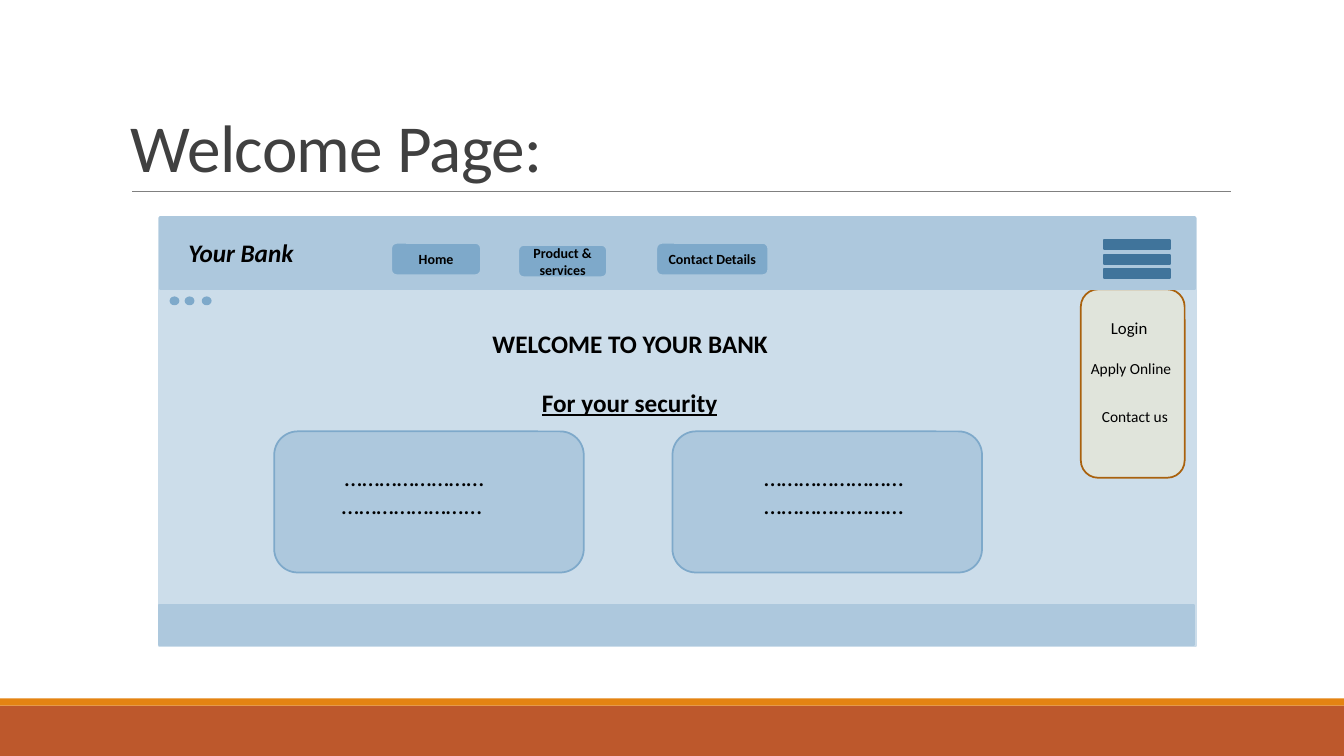
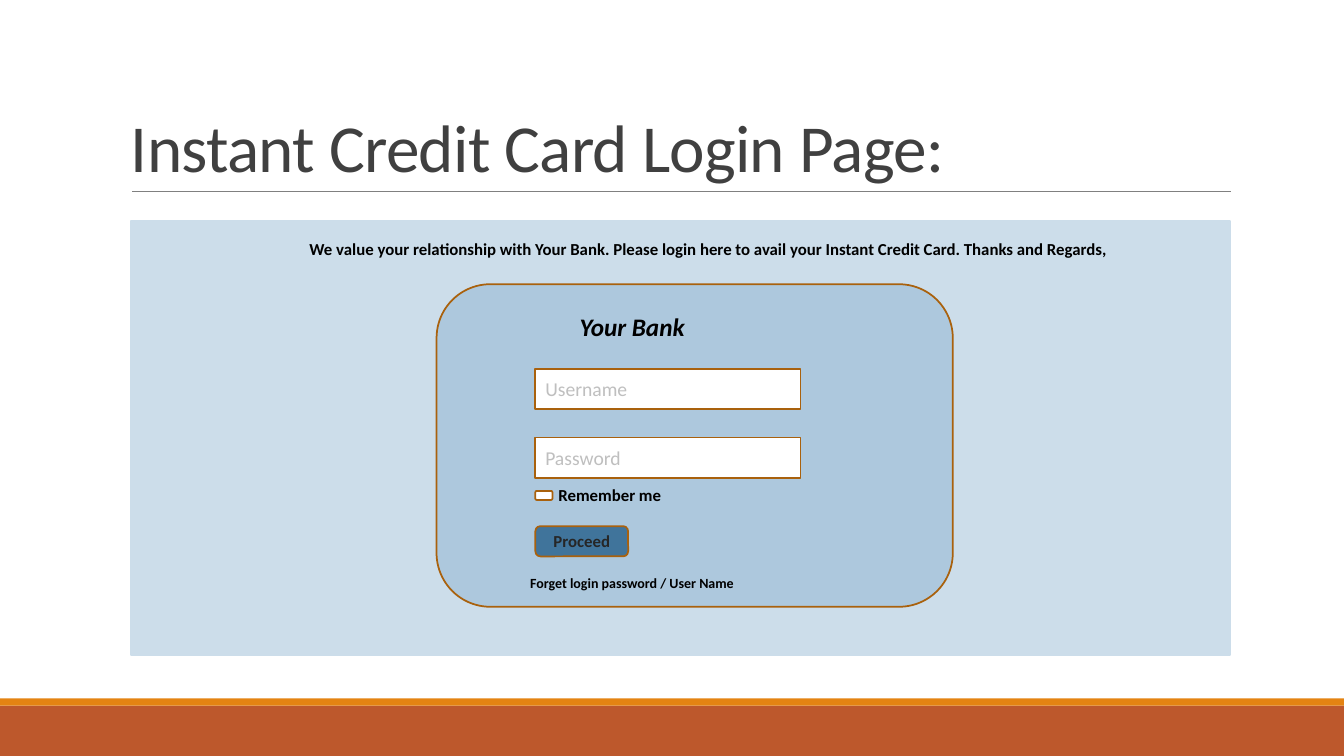
from dataclasses import dataclass

from lxml import etree
from pptx import Presentation
from pptx.dml.color import RGBColor
from pptx.enum.shapes import MSO_CONNECTOR, MSO_SHAPE
from pptx.enum.text import MSO_ANCHOR, MSO_AUTO_SIZE, PP_ALIGN
from pptx.oxml.ns import qn
from pptx.util import Inches, Pt

RECT = MSO_SHAPE.RECTANGLE
ROUNDED = MSO_SHAPE.ROUNDED_RECTANGLE
DOT = MSO_SHAPE.FLOWCHART_CONNECTOR
EQUAL_SIGN = MSO_SHAPE.MATH_EQUAL
MINUS_SIGN = MSO_SHAPE.MATH_MINUS
STRAIGHT = MSO_CONNECTOR.STRAIGHT
LEFT, CENTER = PP_ALIGN.LEFT, PP_ALIGN.CENTER
TOP, MIDDLE, BOTTOM = MSO_ANCHOR.TOP, MSO_ANCHOR.MIDDLE, MSO_ANCHOR.BOTTOM
GROW = MSO_AUTO_SIZE.SHAPE_TO_FIT_TEXT


def rgb(value):
    """Turn a hex string into a colour."""
    return RGBColor.from_string(value)


@dataclass(frozen=True)
class Theme:
    """Colours, font and type sizes of the deck."""
    font: str = "Calibri"
    page: RGBColor = rgb("CCDDEA")
    panel: RGBColor = rgb("ADC8DD")
    accent: RGBColor = rgb("7EA9CA")
    strong: RGBColor = rgb("40749B")
    menu: RGBColor = rgb("E0E4DB")
    outline: RGBColor = rgb("A9610D")
    footer: RGBColor = rgb("BD582C")
    footer_edge: RGBColor = rgb("E48312")
    rule: RGBColor = rgb("808080")
    title: RGBColor = rgb("404040")
    text: RGBColor = rgb("000000")
    proceed: RGBColor = rgb("262626")
    hint: RGBColor = rgb("BFBFBF")
    white: RGBColor = rgb("FFFFFF")
    title_size: int = 48
    heading_size: int = 18
    field_size: int = 14
    body_size: int = 12
    menu_size: int = 11
    small_size: int = 10
    border: float = 1.25


THEME = Theme()


def write(shape, text, size, color=THEME.text, align=LEFT, anchor=TOP,
          bold=False, italic=False, underline=False):
    """Write one formatted paragraph into a shape and return it."""
    frame = shape.text_frame
    frame.text = text
    frame.word_wrap = True
    frame.vertical_anchor = anchor
    paragraph = frame.paragraphs[0]
    paragraph.alignment = align
    font = paragraph.runs[0].font
    font.name, font.size, font.color.rgb = THEME.font, Pt(size), color
    font.bold, font.italic, font.underline = bold, italic, underline
    return paragraph


def add_box(slide, kind, left, top, width, height, fill, line=None):
    """Add a filled shape, outlined only when a line colour is given."""
    box = slide.shapes.add_shape(
        kind, Inches(left), Inches(top), Inches(width), Inches(height))
    box.shadow.inherit = False
    box.fill.solid()
    box.fill.fore_color.rgb = fill
    if line is None:
        box.line.fill.background()
    else:
        box.line.color.rgb = line
        box.line.width = Pt(THEME.border)
    return box


def add_label(slide, text, left, top, width, height, size, **style):
    """Add a text box that grows with its text."""
    label = slide.shapes.add_textbox(
        Inches(left), Inches(top), Inches(width), Inches(height))
    write(label, text, size, **style)
    label.text_frame.auto_size = GROW


def add_title(slide, text):
    """Add the slide title, set tight and resting on the rule."""
    title = slide.shapes.add_textbox(
        Inches(1.2), Inches(0.31), Inches(11), Inches(1.59))
    paragraph = write(title, text, THEME.title_size, THEME.title, anchor=BOTTOM)
    paragraph.line_spacing = 0.85
    paragraph.runs[0].font._element.set("spc", "-50")


def add_rule(slide):
    """Add the thin line under the title."""
    rule = slide.shapes.add_connector(
        STRAIGHT, Inches(1.31), Inches(1.9), Inches(12.21), Inches(1.9))
    rule.line.color.rgb = THEME.rule
    rule.line.width = Pt(0.5)
    etree.SubElement(rule._element.spPr, qn("a:effectLst"))


def add_page(deck, title):
    """Add a slide with the footer bands, the rule and a title."""
    slide = deck.slides.add_slide(deck.slide_layouts[6])
    add_box(slide, RECT, 0, 7, 13.33, 0.5, THEME.footer)
    add_box(slide, RECT, 0, 6.93, 13.33, 0.07, THEME.footer_edge)
    add_rule(slide)
    add_title(slide, title)
    return slide


def add_brand(slide, left, top, width):
    """Add the bank's name in its lettering."""
    add_label(slide, "Your Bank", left, top, width, 0.4,
              THEME.heading_size, bold=True, italic=True)


def add_nav_button(slide, text, left, top, width):
    """Add a button of the navigation bar."""
    button = add_box(slide, ROUNDED, left, top, width, 0.32,
                     THEME.accent, THEME.panel)
    write(button, text, THEME.small_size, align=CENTER, anchor=MIDDLE, bold=True)


def add_field(slide, hint, top):
    """Add an input field with its greyed hint."""
    field = add_box(slide, RECT, 5.31, top, 2.63, 0.4, THEME.white, THEME.outline)
    write(field, hint, THEME.field_size, THEME.hint, anchor=MIDDLE)


def add_menu(slide):
    """Add the drop-down menu and its entries."""
    add_box(slide, ROUNDED, 10.72, 2.87, 1.03, 1.87, THEME.menu, THEME.outline)
    for entry, left, top, width, size in (
            ("Login", 10.92, 3.1, 0.59, THEME.body_size),
            ("Apply Online", 10.72, 3.51, 1.21, THEME.menu_size),
            ("Contact us", 10.83, 3.99, 1.37, THEME.menu_size)):
        add_label(slide, entry, left, top, width, 0.3, size)


def add_header(slide):
    """Add the site header with brand, navigation and menu icon."""
    add_box(slide, RECT, 1.59, 2.15, 10.26, 0.72, THEME.panel, THEME.panel)
    add_brand(slide, 1.77, 2.31, 1.63)
    for icon_part, top in ((EQUAL_SIGN, 2.45), (MINUS_SIGN, 2.23)):
        add_box(slide, icon_part, 10.83, top, 0.89, 0.39,
                THEME.strong, THEME.strong)
    for text, left, top, width in (
            ("Home", 3.88, 2.41, 0.89),
            ("Product & services", 5.14, 2.43, 0.88),
            ("Contact Details", 6.51, 2.41, 1.11)):
        add_nav_button(slide, text, left, top, width)


def add_security_cards(slide):
    """Add the two security cards with their dotted lines."""
    full_dots = "…" * 8
    short_dots = "…" * 7 + "..."
    for card_left, dotted_lines in (
            (2.72, ((3.32, 4.53, full_dots), (3.29, 4.81, short_dots))),
            (6.67, ((7.48, 4.53, full_dots), (7.48, 4.81, full_dots)))):
        add_box(slide, ROUNDED, card_left, 4.28, 3.07, 1.4,
                THEME.panel, THEME.accent)
        for left, top, dots in dotted_lines:
            add_label(slide, dots, left, top, 1.93, 0.4, THEME.heading_size)


def build_welcome(deck):
    """Build the slide with the bank's welcome page."""
    slide = add_page(deck, "Welcome Page:")
    add_box(slide, RECT, 1.58, 2.16, 10.28, 4.25, THEME.page, THEME.page)
    add_menu(slide)
    add_header(slide)
    add_box(slide, RECT, 1.58, 6, 10.26, 0.4, THEME.panel, THEME.panel)
    for left in (1.69, 1.84, 2.01):
        add_box(slide, DOT, left, 2.95, 0.08, 0.07, THEME.accent, THEME.accent)
    add_label(slide, "WELCOME TO YOUR BANK", 4.65, 3.21, 3.2, 0.4,
              THEME.heading_size, align=CENTER, bold=True)
    add_label(slide, "For your security", 5.17, 3.79, 2.15, 0.4,
              THEME.heading_size, align=CENTER, bold=True, underline=True)
    add_security_cards(slide)


def build_login(deck):
    """Build the slide with the credit card login page."""
    slide = add_page(deck, "Instant Credit Card Login Page:")
    add_box(slide, RECT, 1.3, 2.19, 10.9, 4.31, THEME.page, THEME.page)
    add_box(slide, ROUNDED, 4.33, 2.82, 5.12, 3.2, THEME.panel, THEME.outline)
    add_field(slide, "Username", 3.66)
    add_field(slide, "Password", 4.34)
    add_box(slide, ROUNDED, 5.31, 4.87, 0.17, 0.09, THEME.white, THEME.outline)
    proceed = add_box(slide, ROUNDED, 5.31, 5.22, 0.92, 0.3,
                      THEME.strong, THEME.outline)
    write(proceed, "Proceed", THEME.body_size, THEME.proceed,
          align=CENTER, anchor=MIDDLE, bold=True)
    add_brand(slide, 5.65, 3.04, 1.69)
    greeting = ("We value your relationship with Your Bank. Please login here "
                "to avail your Instant Credit Card. Thanks and Regards,")
    for text, left, top, width, height, size in (
            ("Remember me", 5.44, 4.76, 1.27, 0.3, THEME.body_size),
            ("Forget login password / User Name", 5.16, 5.65, 2.63, 0.27,
             THEME.small_size),
            (greeting, 2.97, 2.32, 8.31, 0.3, THEME.body_size)):
        add_label(slide, text, left, top, width, height, size, bold=True)


def main():
    """Build both slides and save the deck."""
    deck = Presentation()
    deck.slide_width, deck.slide_height = Inches(13.33), Inches(7.5)
    build_welcome(deck)
    build_login(deck)
    deck.save("out.pptx")


main()
